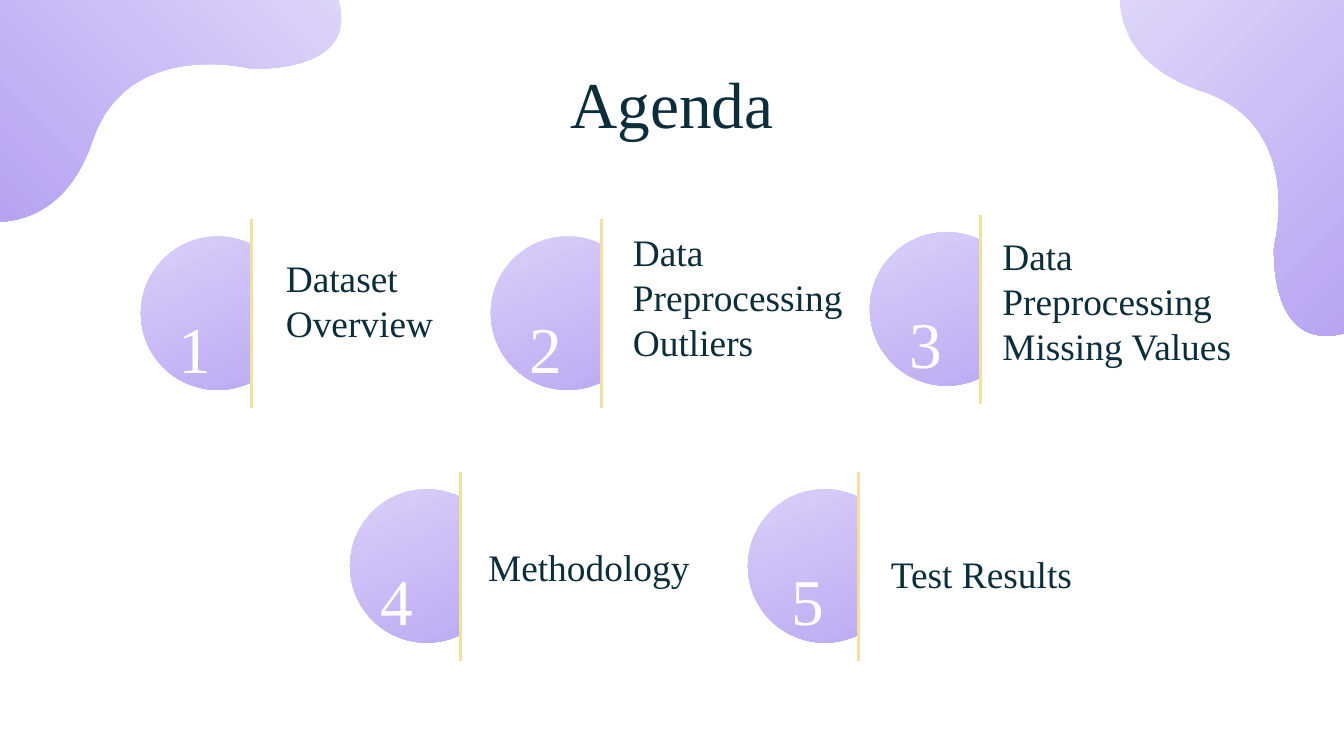
from dataclasses import dataclass
from typing import NamedTuple

from pptx import Presentation
from pptx.dml.color import RGBColor as Rgb
from pptx.enum.shapes import MSO_CONNECTOR as Conn, MSO_SHAPE as Kind
from pptx.enum.text import MSO_ANCHOR as Anchor, MSO_AUTO_SIZE as Auto, PP_ALIGN as Align
from pptx.oxml.ns import qn
from pptx.util import Pt


@dataclass(frozen=True)
class Theme:
    pale: Rgb = Rgb.from_string("DED5F9")
    deep: Rgb = Rgb.from_string("B7A3F2")
    gold: Rgb = Rgb.from_string("F3E0A0")
    ink: Rgb = Rgb.from_string("0C2E3A")
    white: Rgb = Rgb.from_string("FFFFFF")
    font: str = "Times New Roman"
    big: float = 35
    small: float = 20
    pad: float = 7.2


class Style(NamedTuple):
    size: float
    color: Rgb
    align: Align
    anchor: Anchor


class Box(NamedTuple):
    x: float
    y: float
    w: float
    h: float


class Blob(NamedTuple):
    start: tuple
    curves: tuple
    corner: tuple
    angle: float


class Item(NamedTuple):
    num: str
    lines: tuple
    x: float
    y: float
    shift: float
    label: Box


THEME = Theme()
HEAD = Style(THEME.big, THEME.ink, Align.CENTER, Anchor.MIDDLE)
DIGIT = Style(THEME.big, THEME.white, Align.CENTER, Anchor.TOP)
LABEL = Style(THEME.small, THEME.ink, Align.LEFT, Anchor.MIDDLE)

BLOBS = (
    Blob((0, 118.8), (
        ((13.7, 118.1), (37.4, 111.6), (49.7, 74.9)),
        ((68.4, 20.2), (133.9, 36.7), (133.9, 36.7)),
        ((133.9, 36.7), (193, 40.3), (181.4, 0)),
    ), (0, 0), 225),
    Blob((599.8, 0), (
        ((600.5, 13.7), (607, 36.7), (644.4, 49)),
        ((699.8, 67.7), (682.6, 131.8), (682.6, 131.8)),
        ((682.6, 131.8), (679, 189.4), (720, 178.6)),
    ), (720, 0), 315),
)

ITEMS = (
    Item("1", ("Dataset", "Overview"), 75.5, 126.7, 23.4, Box(146, 152.6, 104.4, 16.6)),
    Item("2", ("Data Preprocessing", "Outliers"), 263, 126.7, 24.2,
         Box(332, 150.5, 144, 16.6)),
    Item("3", ("Data Preprocessing", "Missing Values"), 466, 124.4, 26,
         Box(529.9, 152.6, 144, 16.6)),
    Item("4", ("Methodology",), 187.5, 262.1, 15.8, Box(254.4, 295.2, 124, 16.6)),
    Item("5", ("Test Results",), 400.7, 262.1, 29.8, Box(470.2, 298.8, 139, 16.6)),
)


def shade(shape, angle: float) -> None:
    """Give a shape the lilac gradient without outline or shadow."""
    shape.shadow.inherit = False
    shape.line.fill.background()
    shape.fill.gradient()
    shape.fill.gradient_angle = angle
    for stop, color in zip(shape.fill.gradient_stops, (THEME.pale, THEME.deep)):
        stop.color.rgb = color


def bend(shape, count: int) -> None:
    """Turn the first straight segments, three by three, into curves."""
    route = next(shape._element.iter(qn("a:path")))
    parts = route.findall(qn("a:lnTo"))
    for first in range(0, 3 * count, 3):
        curve = route.makeelement(qn("a:cubicBezTo"), {})
        parts[first].addprevious(curve)
        for part in parts[first:first + 3]:
            curve.append(part[0])
            route.remove(part)


def add_blob(slide, blob: Blob) -> None:
    """Draw a wavy corner shape."""
    pen = slide.shapes.build_freeform(*map(Pt, blob.start))
    knots = [knot for curve in blob.curves for knot in curve] + [blob.corner]
    pen.add_line_segments([tuple(map(Pt, knot)) for knot in knots], close=True)
    shape = pen.convert_to_shape()
    bend(shape, len(blob.curves))
    shade(shape, blob.angle)


def write(shape, lines: tuple, style: Style, shift: float = 0) -> None:
    """Fill a shape with styled paragraphs."""
    frame = shape.text_frame
    frame.word_wrap = True
    frame.auto_size = Auto.NONE
    frame.vertical_anchor = style.anchor
    frame.margin_left = frame.margin_right = Pt(THEME.pad)
    frame.margin_top = frame.margin_bottom = Pt(THEME.pad)
    for index, line in enumerate(lines):
        para = frame.add_paragraph() if index else frame.paragraphs[0]
        para.alignment = style.align
        if shift:
            para._p.get_or_add_pPr().set("marL", str(Pt(shift)))
        run = para.add_run()
        run.text = line
        run.font.name = THEME.font
        run.font.size = Pt(style.size)
        run.font.color.rgb = style.color


def add_item(slide, item: Item) -> None:
    """Draw one agenda entry with its disc, rule, number and label."""
    shapes = slide.shapes
    disc = shapes.add_shape(Kind.CHORD, *map(Pt, (item.x, item.y, 82.2, 82.2)))
    disc.rotation = 22.5
    disc.adjustments[0], disc.adjustments[1] = 24.719, 164.216
    shade(disc, 315)

    x, top = item.x + 59.2, item.y - 9.4
    rule = shapes.add_connector(Conn.STRAIGHT, *map(Pt, (x, top, x, top + 101.2)))
    rule.line.color.rgb = THEME.gold
    rule.line.width = Pt(1.5)
    props = rule._element.spPr
    props.append(props.makeelement(qn("a:effectLst"), {}))

    num = shapes.add_textbox(*map(Pt, (item.x - 25, item.y + 31, 84.2, 27.4)))
    write(num, (item.num,), DIGIT, item.shift)
    write(shapes.add_textbox(*map(Pt, item.label)), item.lines, LABEL)


def main() -> None:
    """Build the agenda slide."""
    deck = Presentation()
    deck.slide_width, deck.slide_height = Pt(720), Pt(405)
    slide = deck.slides.add_slide(deck.slide_layouts[5])
    for blob in BLOBS:
        add_blob(slide, blob)
    title = slide.shapes.title
    title.left, title.top, title.width, title.height = map(Pt, (56.7, 42.5, 606.6, 25.2))
    write(title, ("Agenda",), HEAD)
    for item in ITEMS:
        add_item(slide, item)
    deck.save("out.pptx")


if __name__ == "__main__":
    main()
